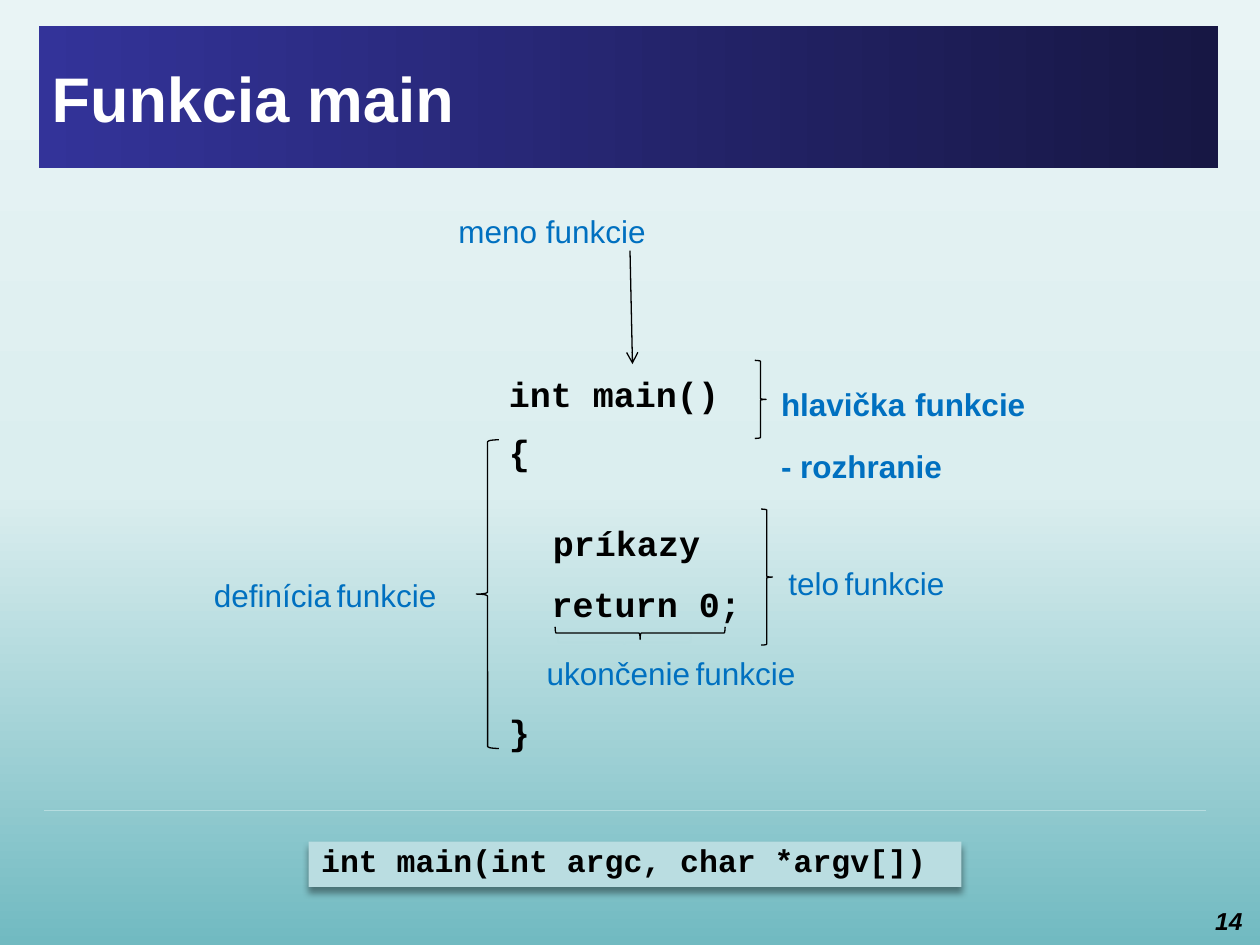
from copy import deepcopy

from lxml import etree
from pptx import Presentation
from pptx.dml.color import RGBColor
from pptx.enum.shapes import MSO_CONNECTOR, MSO_SHAPE
from pptx.enum.text import MSO_ANCHOR, PP_ALIGN
from pptx.oxml import parse_xml
from pptx.oxml.ns import nsdecls, qn
from pptx.util import Inches, Pt

LEFT_BRACE, RIGHT_BRACE = MSO_SHAPE.LEFT_BRACE, MSO_SHAPE.RIGHT_BRACE
COLORS = {
    "label": "0070C0", "black": "000000", "white": "FFFFFF",
    "pale": "B6DCDF", "signature": "BADDE1",
    "title_left": "333399", "title_right": "171744",
}
BACKGROUND_STOPS = [(0, "71BAC1"), (0.48, "DBEEEF"), (1, "E9F4F5")]
TITLE_STOPS = [(0, COLORS["title_left"]), (1, COLORS["title_right"])]

# Code pieces: text, (left, top, width, height)
CODE = [
    ("int main()", (3.94, 2.86, 1.9, 0.62)),
    ("{", (3.94, 3.32, 0.47, 0.71)),
    ("príkazy", (4.29, 4.04, 1.4, 0.62)),
    ("return 0;", (4.28, 4.52, 1.75, 0.62)),
    ("}", (3.94, 5.54, 0.47, 0.62)),
]
# Labels: paragraphs as lists of words, box, size of the space, bold
LABELS = [
    ([["meno funkcie"]], (3.54, 1.59, 3.18, 0.62), 18, False),
    ([["definícia", "funkcie"]], (1.6, 4.48, 2.26, 0.62), 11, False),
    ([["telo", "funkcie"]], (6.16, 4.38, 1.74, 0.62), 11, False),
    ([["ukončenie", "funkcie"]], (4.24, 5.1, 2.48, 0.62), 11, False),
    ([["hlavička", "funkcie"], ["- rozhranie"]], (6.1, 2.93, 2.21, 1.02), 20, True),
]
# Braces: kind, box, rotation, colour
BRACES = [
    (RIGHT_BRACE, (5.99, 2.86, 0.09, 0.62), 0, "black"),
    (LEFT_BRACE, (3.78, 3.49, 0.18, 2.45), 0, "black"),
    (RIGHT_BRACE, (6.04, 4.04, 0.09, 1.08), 0, "black"),
    (RIGHT_BRACE, (4.9, 4.57, 0.11, 1.06), 90, "pale"),
    (RIGHT_BRACE, (5.03, 4.35, 0.1, 1.35), 90, "black"),
]


def rgb(name):
    return RGBColor.from_string(COLORS[name])


def inches(box):
    return [Inches(value) for value in box]


def set_gradient(fill, parent, stops, angle):
    fill.gradient()
    fill.gradient_angle = angle
    stop_list = parent.find(".//" + qn("a:gsLst"))
    while len(stop_list) < len(stops):
        stop_list.append(deepcopy(stop_list[0]))
    for stop, (position, color) in zip(fill.gradient_stops, stops):
        stop.position = position
        stop.color.rgb = RGBColor.from_string(color)


def style(paragraph, font_name, size, color, bold=False):
    font = paragraph.font
    font.name, font.size, font.bold = font_name, Pt(size), bold
    font.color.rgb = rgb(color)


def add_text(slide, paragraphs, box, font_name, size, color, bold, space_size):
    frame = slide.shapes.add_textbox(*inches(box)).text_frame
    frame.word_wrap = True
    for index, words in enumerate(paragraphs):
        paragraph = frame.paragraphs[0] if index == 0 else frame.add_paragraph()
        paragraph.line_spacing, paragraph.space_after = 1.15, Pt(10)
        style(paragraph, font_name, size, color, bold)
        for number, word in enumerate(words):
            if number:
                space = paragraph.add_run()
                space.text = " "
                space.font.size = Pt(space_size)
            paragraph.add_run().text = word


def add_line(slide, start, end, color):
    line = slide.shapes.add_connector(
        MSO_CONNECTOR.STRAIGHT, *inches(start), *inches(end))
    line.line.color.rgb = rgb(color)
    line.line.width = Pt(0.75)
    etree.SubElement(line._element.spPr, qn("a:effectLst"))
    return line


def main():
    presentation = Presentation()
    presentation.slide_width, presentation.slide_height = Inches(10), Inches(7.5)
    slide = presentation.slides.add_slide(presentation.slide_layouts[5])
    set_gradient(slide.background.fill, slide._element, BACKGROUND_STOPS, 90)

    # Title bar
    title = slide.shapes.title
    title.left, title.top, title.width, title.height = inches((0.31, 0.21, 9.36, 1.12))
    set_gradient(title.fill, title._element, TITLE_STOPS, 0)
    title.text_frame.text = "Funkcia main"
    title.text_frame.vertical_anchor = MSO_ANCHOR.MIDDLE
    heading = title.text_frame.paragraphs[0]
    heading.alignment = PP_ALIGN.LEFT
    style(heading, "Arial", 36, "white", True)

    # Slide number
    number_box = slide.shapes.add_textbox(*inches((9.43, 7.14, 0.53, 0.31)))
    number = number_box.text_frame.paragraphs[0]
    number.alignment = PP_ALIGN.RIGHT
    style(number, "Arial", 14, "black", True)
    number.font.italic = True
    number._p.append(parse_xml(
        f'<a:fld {nsdecls("a")} id="{{B6F15528-21DE-4FAA-801E-634DDDAF4B2B}}" '
        'type="slidenum"><a:rPr lang="sk-SK" sz="1400" b="1" i="1"/>'
        '<a:t>14</a:t></a:fld>'))
    presentation.slides._sldIdLst.getparent().set("firstSlideNum", "14")

    # Annotated function
    for text, box in CODE:
        add_text(slide, [[text]], box, "Courier New", 20, "black", True, 20)
    for paragraphs, box, space_size, bold in LABELS:
        add_text(slide, paragraphs, box, "Arial", 18, "label", bold, space_size)
    for kind, box, rotation, color in BRACES:
        brace = slide.shapes.add_shape(kind, *inches(box))
        brace.rotation = rotation
        brace.shadow.inherit = False
        brace.fill.background()
        brace.line.color.rgb = rgb(color)
        brace.line.width = Pt(0.75)
    arrow = add_line(slide, (5, 1.99), (5.02, 2.89), "black")
    etree.SubElement(arrow.line._get_or_add_ln(), qn("a:tailEnd"), type="arrow")

    # Full signature below the divider
    add_line(slide, (0.35, 6.43), (9.57, 6.43), "pale")
    signature = slide.shapes.add_shape(
        MSO_SHAPE.RECTANGLE, *inches((2.45, 6.68, 5.18, 0.36)))
    signature.fill.solid()
    signature.fill.fore_color.rgb = rgb("signature")
    signature.line.fill.background()
    signature._element.spPr.append(parse_xml(
        f'<a:effectLst {nsdecls("a")}><a:outerShdw blurRad="50800" dist="38100" '
        'dir="5400000" algn="t" rotWithShape="0"><a:srgbClr val="000000">'
        '<a:alpha val="40000"/></a:srgbClr></a:outerShdw></a:effectLst>'))
    frame = signature.text_frame
    frame.word_wrap = True
    frame.vertical_anchor = MSO_ANCHOR.TOP
    frame.text = "int main(int argc, char *argv[])"
    code = frame.paragraphs[0]
    code.alignment, code.line_spacing = PP_ALIGN.LEFT, 0.8
    style(code, "Courier New", 18, "black", True)
    code.runs[0].font.color.rgb = rgb("black")

    presentation.save("out.pptx")


if __name__ == "__main__":
    main()
